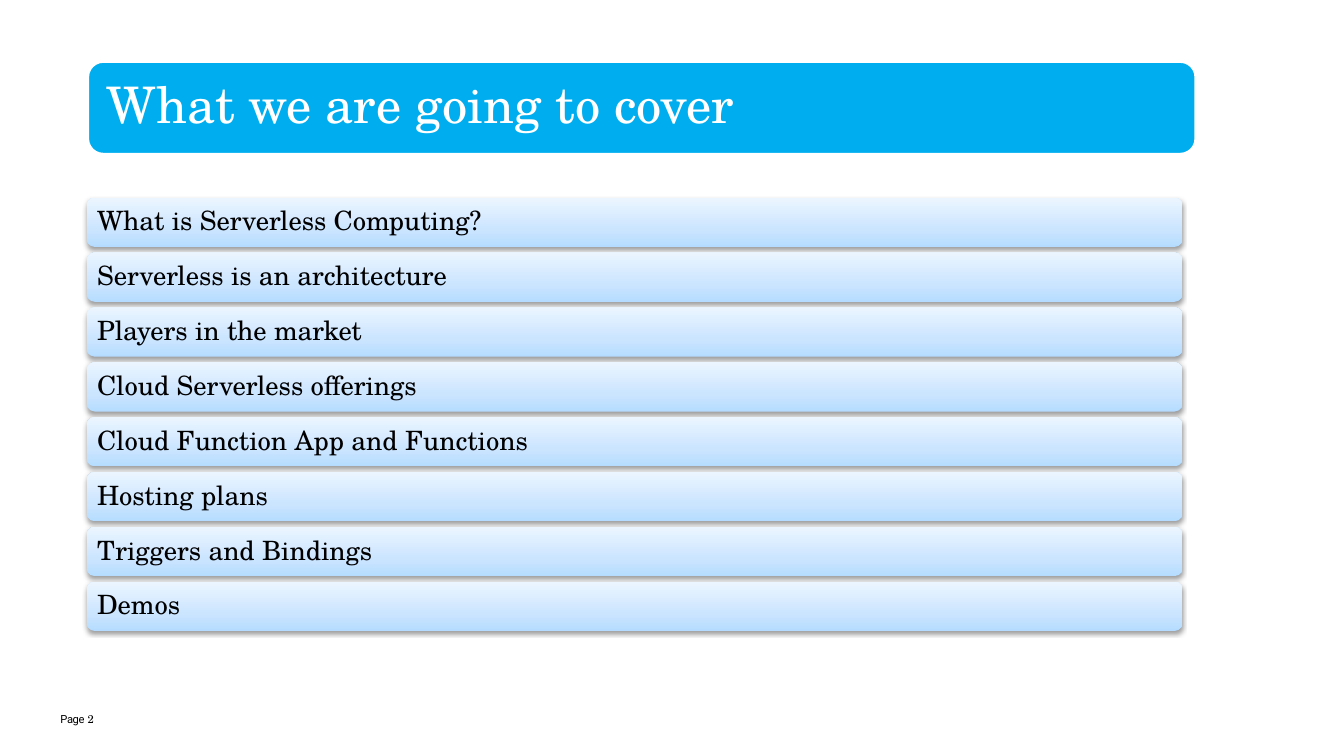
import pptx
import pptx.dml.color
import pptx.enum.shapes
import pptx.enum.text
import pptx.oxml
import pptx.oxml.ns
import pptx.util

Inches = pptx.util.Inches
Pt = pptx.util.Pt

TOPICS = [
    "What is Serverless Computing?",
    "Serverless is an architecture",
    "Players in the market",
    "Cloud Serverless offerings",
    "Cloud Function App and Functions",
    "Hosting plans",
    "Triggers and Bindings",
    "Demos",
]
GRADIENT = [(0, "B5DCFF"), (35, "CBE5FF"), (100, "EBF5FF")]


def colour(value):
    return pptx.dml.color.RGBColor.from_string(value)


class AgendaPage:
    """Hold the agenda style and draw its elements on one slide."""

    serif = "TeX Gyre Schola"
    sans = "Roboto"
    ink = "000000"
    white = "FFFFFF"
    accent = "00AEEF"

    def __init__(self, deck):
        self.page = deck.slides.add_slide(deck.slide_layouts[5])

    def set_text(self, box, text, size, ink, font, inset=0.0, anchor="MIDDLE", wrap=True):
        frame = box.text_frame
        frame.word_wrap = wrap
        frame.auto_size = pptx.enum.text.MSO_AUTO_SIZE.NONE
        frame.vertical_anchor = pptx.enum.text.MSO_ANCHOR[anchor]
        frame.margin_left = frame.margin_right = Inches(inset)
        frame.margin_top = frame.margin_bottom = Inches(inset)
        frame.text = text
        para = frame.paragraphs[0]
        para.alignment = pptx.enum.text.PP_ALIGN.LEFT
        para.font.name = font
        para.font.size = Pt(size)
        para.font.bold = False
        para.font.color.rgb = colour(ink)
        return para

    def rounded(self, left, top, width, height):
        return self.page.shapes.add_shape(
            pptx.enum.shapes.MSO_SHAPE.ROUNDED_RECTANGLE,
            Inches(left), Inches(top), Inches(width), Inches(height))

    def title(self, text):
        bar = self.rounded(0.87, 0.61, 10.99, 0.92)
        bar.shadow.inherit = False
        bar.fill.solid()
        bar.fill.fore_color.rgb = colour(self.accent)
        bar.line.color.rgb = colour(self.white)
        bar.line.width = Pt(2)
        box = self.page.shapes.title
        box.left, box.top = Inches(0.91), Inches(0.65)
        box.width, box.height = Inches(10.9), Inches(0.83)
        para = self.set_text(box, text, 36, self.white, self.serif, 0.15)
        para.line_spacing = 0.9
        bar._element.addnext(box._element)

    def topic(self, text, top):
        card = self.rounded(0.86, top, 10.87, 0.49)
        card.line.fill.background()
        stops = "".join(
            f'<a:gs pos="{place * 1000}"><a:srgbClr val="{value}"/></a:gs>'
            for place, value in GRADIENT)
        namespace = pptx.oxml.ns.nsdecls("a")
        outline = card._element.spPr.find(pptx.oxml.ns.qn("a:ln"))
        outline.addprevious(pptx.oxml.parse_xml(
            f'<a:gradFill {namespace} rotWithShape="1"><a:gsLst>{stops}</a:gsLst>'
            '<a:lin ang="16200000" scaled="0"/></a:gradFill>'))
        outline.addnext(pptx.oxml.parse_xml(
            f'<a:effectLst {namespace}><a:outerShdw blurRad="{Pt(3.1)}" '
            f'dist="{Pt(1.6)}" dir="5400000" rotWithShape="0">'
            f'<a:srgbClr val="{self.ink}"><a:alpha val="38000"/></a:srgbClr>'
            '</a:outerShdw></a:effectLst>'))
        para = self.set_text(card, text, 19, self.ink, self.serif, 0.08)
        para.line_spacing = 0.9

    def footer(self, text, left, width, font):
        box = self.page.shapes.add_textbox(
            Inches(left), Inches(7.07), Inches(width), Inches(0.34))
        para = self.set_text(box, text, 8, self.ink, font, anchor="TOP", wrap=False)
        for span in para.runs:
            span._r.get_or_add_rPr().set("spc", "-30")


def main():
    deck = pptx.Presentation()
    deck.slide_width, deck.slide_height = Inches(13.33), Inches(7.5)
    agenda = AgendaPage(deck)
    agenda.title("What we are going to cover")
    first, last = 1.96, 5.77
    step = (last - first) / (len(TOPICS) - 1)
    for index, text in enumerate(TOPICS):
        agenda.topic(text, first + index * step)
    agenda.footer("Page", 0.6, 0.3, agenda.sans)
    agenda.footer("2", 0.87, 0.24, agenda.serif)
    deck.save("out.pptx")


if __name__ == "__main__":
    main()
